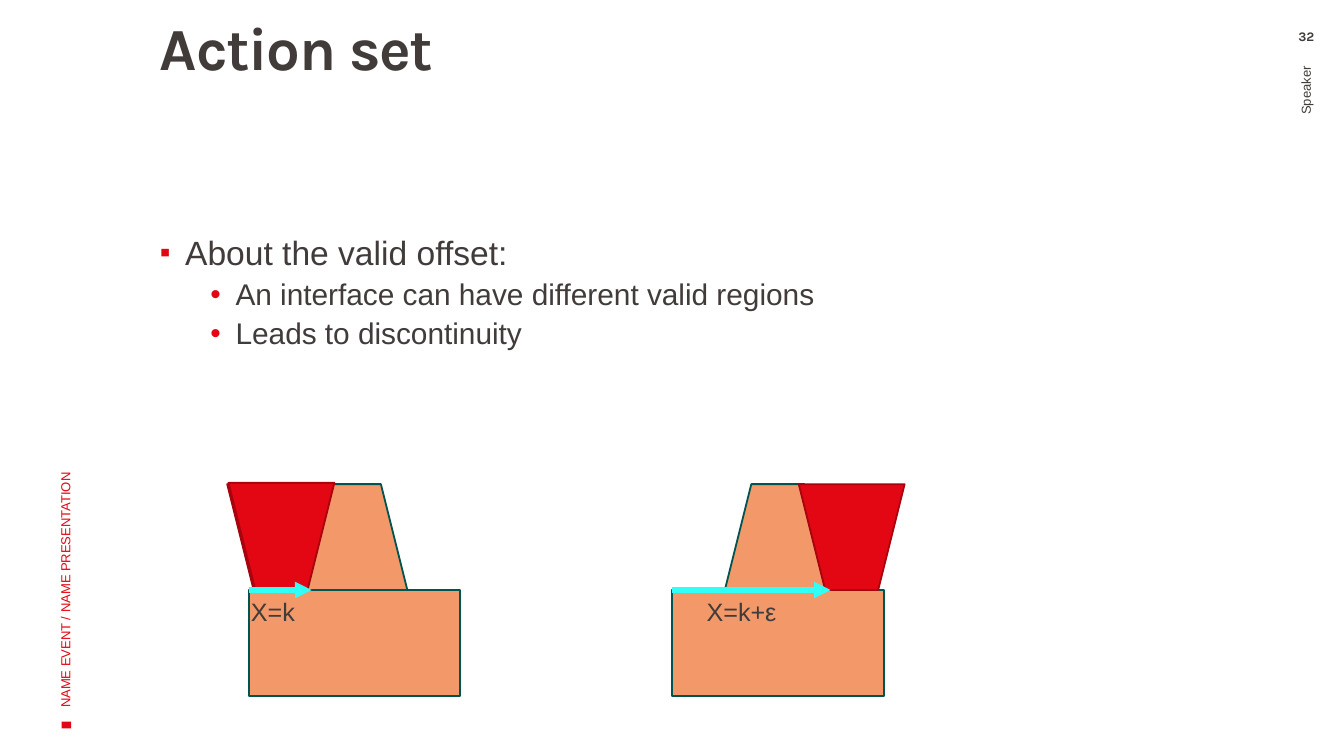
from lxml import etree
from pptx import Presentation
from pptx.dml.color import RGBColor
from pptx.enum.shapes import MSO_CONNECTOR, MSO_SHAPE
from pptx.enum.text import MSO_ANCHOR, MSO_AUTO_SIZE, PP_ALIGN
from pptx.oxml.ns import qn
from pptx.util import Pt

RECTANGLE, TRAPEZOID = MSO_SHAPE.RECTANGLE, MSO_SHAPE.TRAPEZOID
STRAIGHT = MSO_CONNECTOR.STRAIGHT
MIDDLE = MSO_ANCHOR.MIDDLE
CENTER, RIGHT = PP_ALIGN.CENTER, PP_ALIGN.RIGHT
FIT_SHAPE = MSO_AUTO_SIZE.SHAPE_TO_FIT_TEXT

COLORS = {
    "text": "413C3A",
    "red": "E30613",
    "dark red": "A8040E",
    "orange": "F39869",
    "teal": "005450",
    "cyan": "31FFF5",
}
UNIT = 56.7
BASE_TOP = 316.1


def color(name):
    return RGBColor.from_string(COLORS[name])


def set_all(target, values):
    for name, value in values.items():
        setattr(target, name, value)


def add_text_box(slide, box, insets=(7.2, 3.6, 7.2, 3.6), **frame_format):
    shape = slide.shapes.add_textbox(*map(Pt, box))
    sides = ("margin_left", "margin_top", "margin_right", "margin_bottom")
    set_all(shape.text_frame, dict(zip(sides, map(Pt, insets))))
    set_all(shape.text_frame, {"word_wrap": True, **frame_format})
    return shape


def write(paragraph, text, size, font="Arial", bold=False, fill="text", **paragraph_format):
    set_all(paragraph, paragraph_format)
    run = paragraph.add_run()
    run.text = text
    set_all(run.font, {"name": font, "size": Pt(size), "bold": bold})
    run.font.color.rgb = color(fill)
    return run


def add_bullet(paragraph, mark, left, size_percent=100):
    properties = paragraph._p.get_or_add_pPr()
    properties.set("marL", str(Pt(left)))
    properties.set("indent", str(Pt(-13.5)))
    bullet_color = etree.SubElement(properties, qn("a:buClr"))
    etree.SubElement(bullet_color, qn("a:srgbClr"), val=COLORS["red"])
    etree.SubElement(properties, qn("a:buSzPct"), val=str(size_percent * 1000))
    etree.SubElement(properties, qn("a:buFont"), typeface="Arial")
    etree.SubElement(properties, qn("a:buChar"), char=mark)


def add_block(slide, kind, box, fill, line=None, rotation=0):
    shape = slide.shapes.add_shape(kind, *map(Pt, box))
    shape.shadow.inherit = False
    shape.rotation = rotation
    shape.fill.solid()
    shape.fill.fore_color.rgb = color(fill)
    if line:
        shape.line.color.rgb = color(line)
        shape.line.width = Pt(1)
    else:
        shape.line.fill.background()


def add_arrow(slide, left, top, length):
    arrow = slide.shapes.add_connector(STRAIGHT, Pt(left), Pt(top), Pt(left + length), Pt(top))
    arrow.line.color.rgb = color("cyan")
    arrow.line.width = Pt(3)
    etree.SubElement(arrow.line._get_or_add_ln(), qn("a:tailEnd"), type="triangle")
    etree.SubElement(arrow._element.spPr, qn("a:effectLst"))


def add_interface(slide, left, red_offsets, arrow_length):
    top = BASE_TOP - UNIT
    add_block(slide, TRAPEZOID, (left + UNIT / 2, top, UNIT, UNIT), "orange", "teal")
    add_block(slide, RECTANGLE, (left, BASE_TOP, 2 * UNIT, UNIT), "orange", "teal")
    for across, down in red_offsets:
        box = (left + across, top + down, UNIT, UNIT)
        add_block(slide, TRAPEZOID, box, "red", "dark red", 180)
    add_arrow(slide, left, BASE_TOP, arrow_length)


def add_label(slide, text, left, width):
    box = (left, BASE_TOP, width, 23.8)
    shape = add_text_box(slide, box, word_wrap=False, auto_size=FIT_SHAPE)
    write(shape.text_frame.paragraphs[0], text, 13.5)


def add_title(slide):
    shape = add_text_box(slide, (71.3, 10.1, 288.7, 84.2), (14.4, 0, 5.8, 3.6))
    run = write(shape.text_frame.paragraphs[0], "Action set", 32, "Karla", True, line_spacing=0.9)
    run.font._element.set("spc", "-70")


def add_body(slide):
    frame = add_text_box(slide, (71.3, 123.1, 608.4, 266.4), (14.4, 3.6, 7.2, 3.6)).text_frame
    heading = frame.paragraphs[0]
    write(heading, "About the valid offset:", 18, line_spacing=0.9, space_before=Pt(7.5))
    add_bullet(heading, "▪", 13.5, 90)
    for text in ("An interface can have different valid regions", "Leads to discontinuity"):
        paragraph = frame.add_paragraph()
        write(paragraph, text, 16, level=1, line_spacing=0.9, space_before=Pt(3.75))
        add_bullet(paragraph, "•", 40.5)


def add_margin_texts(slide):
    add_block(slide, RECTANGLE, (33.8, 385.9, 3.6, 5), "red", rotation=270)
    event = add_text_box(slide, (-96.5, 218.9, 262.8, 72), vertical_anchor=MIDDLE)
    event.rotation = 270
    write(event.text_frame.paragraphs[0], "NAME EVENT / NAME PRESENTATION", 7, fill="red")
    speaker = add_text_box(slide, (560.2, 147.6, 278.6, 40.3), vertical_anchor=MIDDLE)
    speaker.rotation = 270
    write(speaker.text_frame.paragraphs[0], "Speaker", 7, alignment=RIGHT)
    number = add_text_box(slide, (679.7, 15.1, 40.3, 13), (7.2, 0, 7.2, 0))
    write(number.text_frame.paragraphs[0], "32", 7, "Karla", True, alignment=CENTER)


def main():
    presentation = Presentation()
    set_all(presentation, {"slide_width": Pt(720), "slide_height": Pt(405)})
    slide = presentation.slides.add_slide(presentation.slide_layouts[6])
    add_margin_texts(slide)
    add_body(slide)
    add_title(slide)
    add_interface(slide, 133.2, [(-11.5, 0), (-10.8, -0.7)], 33.8)
    add_interface(slide, 360, [(67.9, 0)], 85)
    add_label(slide, "X=k", 127.4, 38.9)
    add_label(slide, "X=k+ε", 371.5, 52.6)
    presentation.save("out.pptx")


if __name__ == "__main__":
    main()
